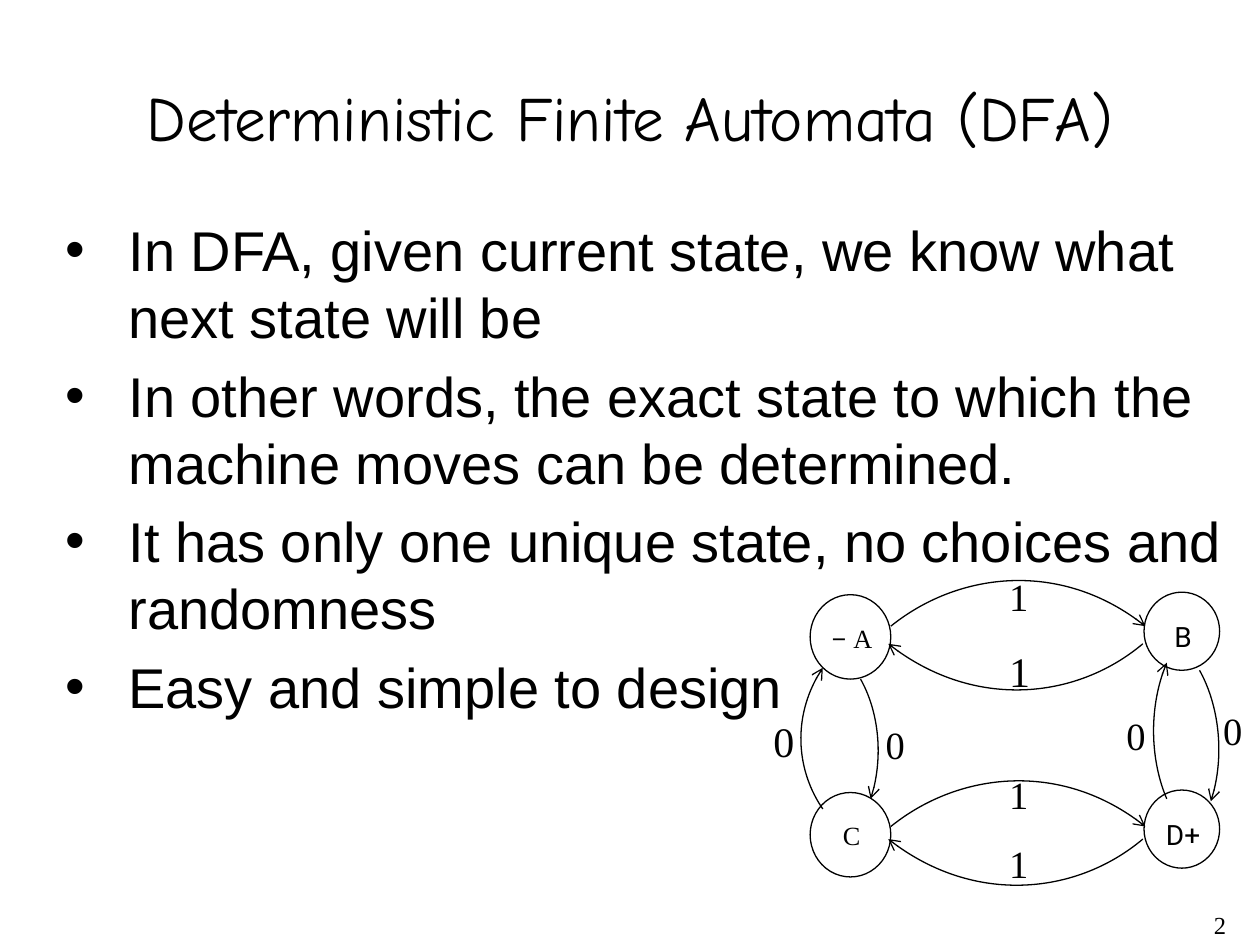
from lxml.etree import SubElement
from pptx import Presentation
from pptx.dml.color import RGBColor
from pptx.enum.shapes import MSO_SHAPE
from pptx.enum.text import MSO_ANCHOR, MSO_AUTO_SIZE, PP_ALIGN
from pptx.oxml.ns import qn
from pptx.util import Inches, Pt

COLOURS = {"ink": "000000", "paper": "FFFFFF"}
SERIF = "Times New Roman"
BULLETS = [
    "In DFA, given current state, we know what next state will be",
    "In other words, the exact state to which the machine moves can be determined.",
    "It has only one unique state, no choices and randomness",
    "Easy and simple to design",
]


def colour(name):
    return RGBColor.from_string(COLOURS[name])


def place(shape, box):
    shape.left, shape.top, shape.width, shape.height = map(Inches, box)


def style(font, size, name):
    font.size, font.name = Pt(size), name
    font.color.rgb = colour("ink")


def add_title(slide, box, text):
    title = slide.shapes.title
    place(title, box)
    frame = title.text_frame
    frame.text = text
    frame.auto_size = MSO_AUTO_SIZE.NONE
    frame.vertical_anchor = MSO_ANCHOR.MIDDLE
    paragraph = frame.paragraphs[0]
    paragraph.alignment = PP_ALIGN.CENTER
    style(paragraph.font, 36, "Comic Neue")


def add_bullets(slide, box, lines):
    body = slide.placeholders[1]
    place(body, box)
    frame = body.text_frame
    frame.text = "\n".join(lines)
    frame.auto_size = MSO_AUTO_SIZE.NONE
    frame.margin_right = Inches(0.05)
    for paragraph in frame.paragraphs:
        style(paragraph.font, 32, "Arial")
        properties = paragraph._p.get_or_add_pPr()
        properties.set("marL", str(Inches(0.5)))
        properties.set("indent", str(-Inches(0.5)))


def add_text(slide, box, text, size, alignment=PP_ALIGN.LEFT):
    text_box = slide.shapes.add_textbox(*map(Inches, box))
    frame = text_box.text_frame
    frame.word_wrap = True
    frame.text = text
    paragraph = frame.paragraphs[0]
    paragraph.alignment = alignment
    style(paragraph.font, size, SERIF)


def outline(shape):
    shape.shadow.inherit = False
    shape.line.color.rgb = colour("ink")
    shape.line.width = Pt(0.75)


def add_state(slide, box, runs, inset):
    state = slide.shapes.add_shape(MSO_SHAPE.OVAL, *map(Inches, box))
    state.fill.solid()
    state.fill.fore_color.rgb = colour("paper")
    outline(state)
    frame = state.text_frame
    frame.word_wrap = False
    frame.vertical_anchor = MSO_ANCHOR.MIDDLE
    frame.margin_left = Inches(0.02)
    frame.margin_right = frame.margin_bottom = 0
    frame.margin_top = Inches(inset)
    paragraph = frame.paragraphs[0]
    paragraph.alignment = PP_ALIGN.CENTER
    for text, size, name in runs:
        run = paragraph.add_run()
        run.text = text
        style(run.font, size, name)


def add_transition(slide, origin, points):
    left, top = origin
    start, *others = [(Inches(left + x), Inches(top + y)) for x, y in points]
    builder = slide.shapes.build_freeform(*start)
    builder.add_line_segments(others, close=False)
    curve = builder.convert_to_shape()
    curve.fill.background()
    outline(curve)
    path = curve._element.find(".//" + qn("a:path"))
    bezier = SubElement(path, qn("a:cubicBezTo"))
    for segment in path.findall(qn("a:lnTo")):
        bezier.append(segment[0])
        path.remove(segment)
    SubElement(curve.line._get_or_add_ln(), qn("a:tailEnd"), type="arrow")


def add_automaton(slide, box):
    left, top, width, height = box
    row_step = 1.57
    right_column = left + width - 0.6
    rows = [
        ([("– ", 14, "Roboto"), ("A", 15, SERIF)], [("B", 16, "Roboto")], 24),
        ([("C", 15, SERIF)], [("D+", 16, "Roboto")], 22),
    ]
    for row, (left_runs, right_runs, lower_size) in enumerate(rows):
        row_top = top + row * row_step
        add_state(slide, (left, row_top + 0.28, 0.64, 0.67), left_runs, 0.01)
        add_state(slide, (right_column, row_top + 0.26, 0.6, 0.62), right_runs, 0.08)
        add_transition(slide, (left, row_top + 0.02 * row),
                       [(0.64, 0.53), (1.16, 0.11), (2, 0), (2.66, 0.53)])
        add_transition(slide, (left, row_top - 0.02 * row),
                       [(2.64, 0.67), (2.13, 1.1), (1.29, 1.2), (0.62, 0.67)])
        add_text(slide, (left + 1.48, row_top + 0.06, 0.38, 0.38), "1", 22)
        add_text(slide, (left + 1.48, row_top + 0.63 - 0.02 * row, 0.45, 0.48),
                 "1", lower_size)

    vertical_curves = [
        [(0.1, 1.98), (-0.1, 1.69), (-0.15, 1.23), (0.1, 0.86)],
        [(0.4, 0.95), (0.53, 1.18), (0.59, 1.57), (0.48, 1.9)],
        [(2.83, 1.9), (2.71, 1.62), (2.68, 1.17), (2.83, 0.82)],
        [(3.09, 0.88), (3.23, 1.13), (3.3, 1.56), (3.18, 1.92)],
    ]
    zeros = [(-0.39, 1.19, 24), (0.5, 1.23, 22), (2.41, 1.16, 22), (3.18, 1.12, 22)]
    for points, (x, y, size) in zip(vertical_curves, zeros):
        add_transition(slide, (left, top), points)
        add_text(slide, (left + x, top + y, 0.38, 0.48), "0", size)


presentation = Presentation()
presentation.slide_width, presentation.slide_height = Inches(10), Inches(7.5)
slide = presentation.slides.add_slide(presentation.slide_layouts[1])
add_title(slide, (0.5, 0.3, 9, 1.25), "Deterministic Finite Automata (DFA)")
add_bullets(slide, (0.42, 1.66, 9.38, 4.95), BULLETS)
add_automaton(slide, (6.43, 4.44, 3.25, 2.76))
add_text(slide, (7.75, 7.17, 2.08, 0.33), "2", 14, PP_ALIGN.RIGHT)
presentation.save("out.pptx")
